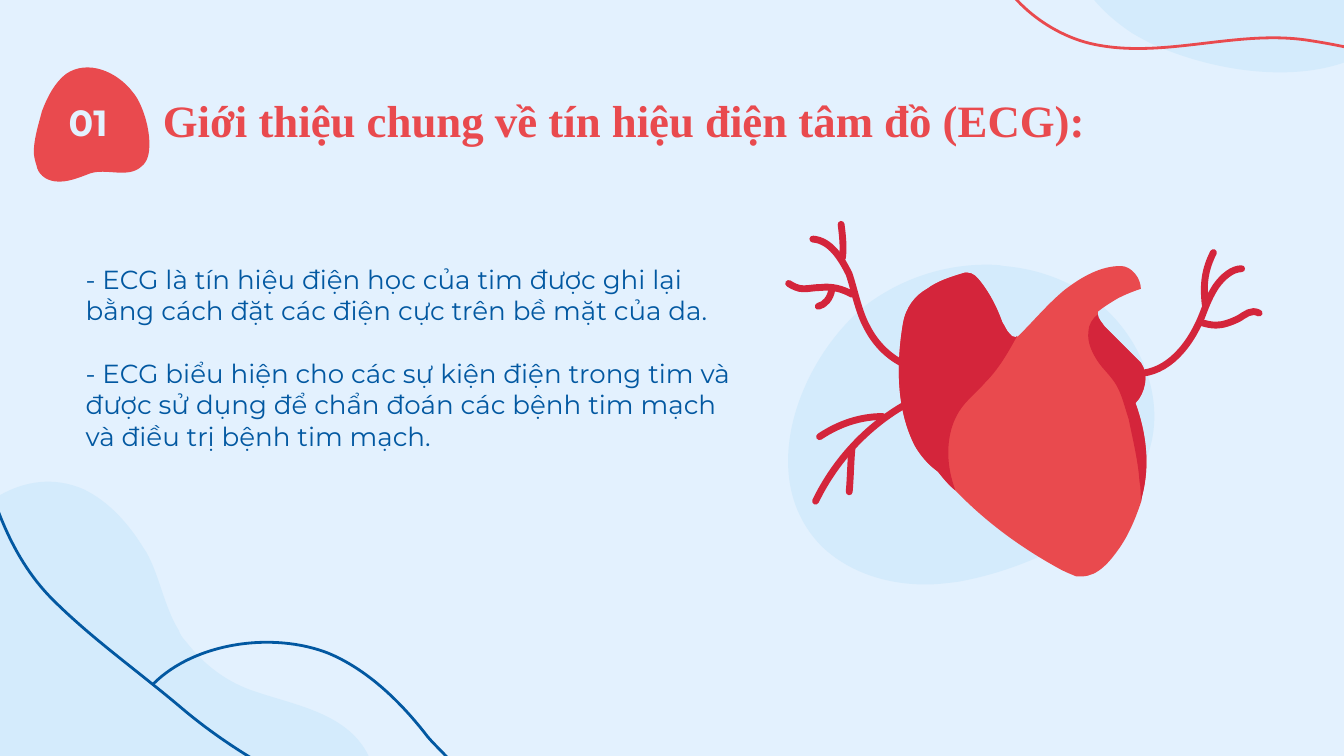
from dataclasses import dataclass

from pptx import Presentation
from pptx.dml.color import RGBColor
from pptx.enum.text import MSO_ANCHOR
from pptx.oxml.ns import qn
from pptx.oxml.xmlchemy import OxmlElement
from pptx.util import Cm, Pt


@dataclass(frozen=True)
class Theme:
    background: RGBColor = RGBColor.from_string("E3F1FE")
    pale: RGBColor = RGBColor.from_string("D4EBFC")
    red: RGBColor = RGBColor.from_string("E94A4E")
    dark_red: RGBColor = RGBColor.from_string("D4253B")
    blue: RGBColor = RGBColor.from_string("0258A1")
    title_font: str = "Times New Roman"
    body_font: str = "Montserrat"
    title_size: Pt = Pt(24)
    badge_size: Pt = Pt(19.5)
    body_size: Pt = Pt(14)
    thin_line: Pt = Pt(1.5)
    vessel_line: Cm = Cm(0.13)


@dataclass(frozen=True)
class Box:
    """A region; drawings inside it count in grid units from its corner."""
    left: Cm
    top: Cm
    width: Cm
    height: Cm


THEME = Theme()
GRID_UNIT = Cm(0.0254)

# Curves: a start point, then two controls and an end point per segment.
CORNER_BLOB = """-39 263
 -18 299 18 329 60 334  85 337 111 334 136 330  155 327 175 324 194 324
 212 324 230 328 247 325  258 323 269 317 275 308  282 298 283 284 279 272
 277 268 275 264 273 260  257 231 221 225 191 215  169 208 152 195 138 177
 136 175 134 172 133 169  122 151 119 129 109 111  108 110 108 109 107 108
 96 90 81 73 62 64  18 45 -24 78 -44 115  -60 142 -63 178 -58 209
 -56 218 -54 226 -52 233  -48 243 -44 253 -39 263"""
CORNER_LINES = (
    """-18 20  -9 65 6 113 39 146  68 175 102 199 134 226
     175 261 225 288 276 307  300 316 324 330 350 330""",
    "114 209  145 178 203 170 244 186  273 198 298 222 318 248  327 259 343 270 343 285",
)
TOP_BLOB = """304 -148
 278 -164 247 -173 216 -170  155 -163 78 -107 94 -38  101 -11 120 10 143 25
 150 29 157 33 165 36  231 63 335 69 359 -16  374 -67 352 -113 314 -141
 311 -144 307 -146 304 -148"""
TOP_LINE = "36 -38  43 -3 80 26 114 33  166 44 220 22 273 30  306 35 340 43 370 58"
BADGE = """0 63
 0 66 1 70 2 73  3 79 8 84 16 85  25 86 34 82 42 79  54 75 70 83 80 74
 85 70 86 64 86 57  86 43 80 26 74 19  62 3 40 -6 24 5  16 11 10 22 6 33
 4 41 0 53 0 63"""
HEART_BACKDROP = """174 32
 143 32 112 42 86 61  36 100 0 190 52 242  72 261 100 270 129 270
 137 270 145 269 153 268  225 255 320 204 295 117  279 65 235 37 187 33
 183 32 178 32 174 32"""
LEFT_WALL = """ 194 86 192 85 191 83  189 81 188 78 186 75  182 64 177 54 170 45
 167 41 164 38 160 38  159 38 159 38 158 38  148 41 138 44 130 50
 121 55 114 64 112 76  107 106 107 140 121 167  125 174 131 181 138 186
 142 191 146 196 151 200 """
RIGHT_WALL = """ 289 207 290 206 290 204  296 181 293 157 285 135
 289 131 291 126 292 121  293 115 292 109 289 105  280 96 271 87 262 78
 260 75 257 72 257 69 """
HEART_BODY = ("274 33  259 33 245 41 232 51  220 61 210 73 199 84"
              "  198 85 197 86 196 86 " + LEFT_WALL +
              """173 223 199 242 226 257  231 260 236 262 241 264
              243 264 244 264 245 264  257 264 266 253 273 243
              280 233 285 221 289 209 """ + RIGHT_WALL +
              """257 68 257 68 257 67  262 63 267 60 272 57
              278 54 283 52 289 50  289 42 282 33 274 33""")
LEFT_CHAMBER = "196 86 " + LEFT_WALL + """150 197 149 194 148 190
 144 174 145 155 154 141  159 133 167 127 173 120  183 110 190 98 197 85
 197 85 196 86 196 86"""
RIGHT_CHAMBER = """257 69
 253 72 250 77 250 82  249 90 253 98 257 104  261 110 267 115 271 122
 275 129 277 138 280 147  283 162 287 178 288 193  289 198 289 203 289 209 """ + RIGHT_WALL
VESSELS = (
    "343 23  337 35 335 46 337 62",
    "334 75  337 76 341 77 345 77  350 77 356 75 362 72  367 69 371 65 377 68",
    "364 35  357 35 350 41 345 48  341 54 338 61 335 69  326 92 309 113 286 113",
    "45 13  58 14 66 27 72 39  76 51 79 67 85 78  92 92 103 102 115 107",
    "66 2  67 10 68 18 67 27",
    "27 46  30 48 34 50 38 50  42 50 46 49 51 49  59 48 67 50 74 54",
    "59 51  58 57 54 62 49 63",
    "114 136  86 152 62 177 47 208",
    "74 169  73 180 73 190 72 201",
    "97 145  81 145 65 150 50 160",
)


def add_curve(shapes, box, curve, closed):
    """Build a freeform and turn every three line points into one Bezier segment."""
    numbers = [int(number) for number in curve.split()]
    points = list(zip(numbers[::2], numbers[1::2]))
    builder = shapes.build_freeform(*points[0], scale=GRID_UNIT)
    builder.add_line_segments(points[1:], close=closed)
    shape = builder.convert_to_shape(box.left, box.top)
    shape.shadow.inherit = False
    lines = list(shape._element.iter(qn("a:lnTo")))
    for first in range(0, len(lines), 3):
        segment = OxmlElement("a:cubicBezTo")
        lines[first].addprevious(segment)
        for line in lines[first:first + 3]:
            segment.append(line[0])
            line.getparent().remove(line)
    return shape


def add_area(shapes, box, curve, color):
    shape = add_curve(shapes, box, curve, closed=True)
    shape.fill.solid()
    shape.fill.fore_color.rgb = color
    shape.line.fill.background()


def add_stroke(shapes, box, curve, color, width):
    shape = add_curve(shapes, box, curve, closed=False)
    shape.fill.background()
    shape.line.color.rgb = color
    shape.line.width = width
    shape._element.spPr.find(qn("a:ln")).set("cap", "rnd")


def add_text(slide, box, texts, font, size, color, bold=False,
             anchor=MSO_ANCHOR.TOP, gap=Pt(0)):
    """Place one paragraph per text, with a gap between them."""
    frame = slide.shapes.add_textbox(box.left, box.top, box.width, box.height).text_frame
    frame.word_wrap = True
    frame.vertical_anchor = anchor
    frame.margin_left = frame.margin_right = Cm(0.25)
    frame.margin_top = frame.margin_bottom = Cm(0.25)
    for index, text in enumerate(texts):
        paragraph = frame.add_paragraph() if index else frame.paragraphs[0]
        paragraph.space_before = gap if index else Pt(0)
        run = paragraph.add_run()
        run.text = text
        run.font.name = font
        run.font.size = size
        run.font.bold = bold
        run.font.color.rgb = color


def add_bottom_corner(slide, box):
    add_area(slide.shapes, box, CORNER_BLOB, THEME.pale)
    for line in CORNER_LINES:
        add_stroke(slide.shapes, box, line, THEME.blue, THEME.thin_line)


def add_top_corner(slide, box):
    add_area(slide.shapes, box, TOP_BLOB, THEME.pale)
    add_stroke(slide.shapes, box, TOP_LINE, THEME.red, THEME.thin_line)


def add_heart(slide, box):
    add_area(slide.shapes, box, HEART_BACKDROP, THEME.pale)
    heart = slide.shapes.add_group_shape().shapes
    add_area(heart, box, HEART_BODY, THEME.red)
    for vessel in VESSELS:
        add_stroke(heart, box, vessel, THEME.dark_red, THEME.vessel_line)
    for chamber in (LEFT_CHAMBER, RIGHT_CHAMBER):
        add_area(heart, box, chamber, THEME.dark_red)


def add_heading(slide, box):
    """Numbered badge at the left of the box, title in the rest."""
    add_area(slide.shapes, box, BADGE, THEME.red)
    number_box = Box(box.left + Cm(0.41), box.top + Cm(0.33), Cm(1.37), Cm(1.4))
    add_text(slide, number_box, ["01"], THEME.body_font, THEME.badge_size,
             THEME.background, bold=True, anchor=MSO_ANCHOR.MIDDLE)
    indent = Cm(2.19)
    title_box = Box(box.left + indent, box.top + Cm(0.23), box.width - indent, box.height)
    add_text(slide, title_box, ["Giới thiệu chung về tín hiệu điện tâm đồ (ECG):"],
             THEME.title_font, THEME.title_size, THEME.red, bold=True)


def add_body(slide, box):
    add_text(slide, box, [
        "- ECG là tín hiệu điện học của tim được ghi lại bằng cách đặt các điện cực "
        "trên bề mặt của da.",
        "- ECG biểu hiện cho các sự kiện điện trong tim và được sử dụng để chẩn đoán "
        "các bệnh tim mạch và điều trị bệnh tim mạch.",
    ], THEME.body_font, THEME.body_size, THEME.blue, gap=Pt(17))


def main():
    presentation = Presentation()
    presentation.slide_width, presentation.slide_height = Cm(25.4), Cm(14.29)
    slide = presentation.slides.add_slide(presentation.slide_layouts[6])
    slide.background.fill.solid()
    slide.background.fill.fore_color.rgb = THEME.background
    add_bottom_corner(slide, Box(Cm(0), Cm(7.62), Cm(8.89), Cm(6.67)))
    add_top_corner(slide, Box(Cm(17.78), Cm(0), Cm(7.62), Cm(1.5)))
    add_heart(slide, Box(Cm(14.22), Cm(4.19), Cm(9.63), Cm(6.86)))
    add_heading(slide, Box(Cm(0.64), Cm(1.27), Cm(22.78), Cm(2.34)))
    add_body(slide, Box(Cm(1.37), Cm(4.72), Cm(12.7), Cm(9.55)))
    presentation.save("out.pptx")


if __name__ == "__main__":
    main()
